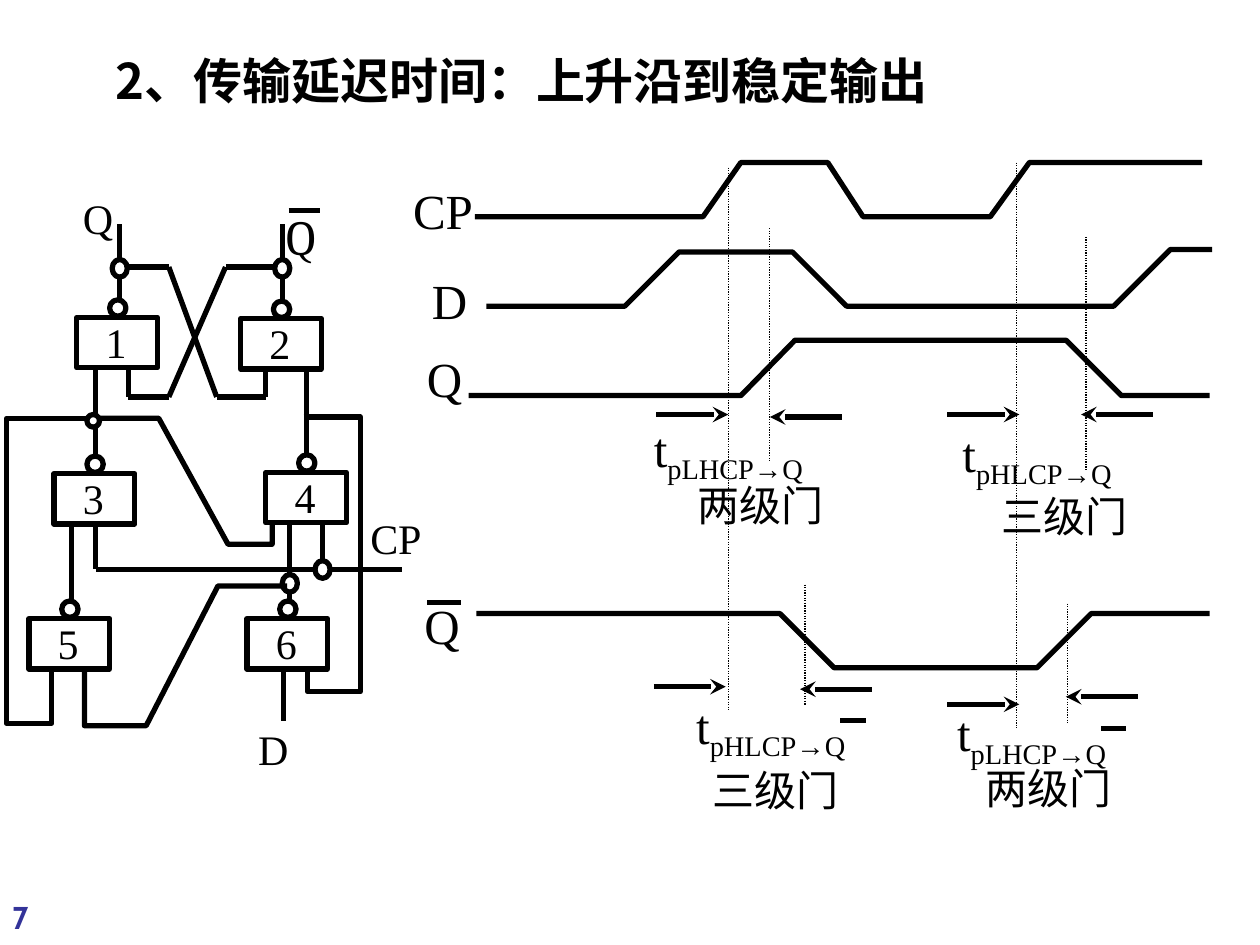
from lxml import etree
from pptx import Presentation
from pptx import util as u
from pptx.dml.color import RGBColor
from pptx.enum import dml, shapes, text
from pptx.oxml.ns import qn

BLACK = RGBColor(0x00, 0x00, 0x00)
WHITE = RGBColor(0xFF, 0xFF, 0xFF)
NAVY = RGBColor(0x33, 0x33, 0x99)
SERIF = "Times New Roman"
CJK = "Noto Sans CJK SC"

LEVEL_GUIDES = [
    (5.78, 1.33, 5.63), (6.11, 1.81, 3.67), (6.39, 4.64, 5.6),
    (8.07, 1.29, 5.78), (8.62, 1.88, 3.74), (8.47, 4.79, 5.75),
]
WAVES = [
    [(3.77, 1.72), (5.58, 1.72), (5.88, 1.29), (6.57, 1.29), (6.85, 1.72),
     (7.86, 1.72), (8.17, 1.29), (9.54, 1.29)],
    [(3.86, 2.43), (4.96, 2.43), (5.39, 2), (6.29, 2), (6.72, 2.43),
     (8.84, 2.43), (9.29, 1.98), (9.62, 1.98)],
    [(3.72, 3.14), (5.88, 3.14), (6.31, 2.7), (8.46, 2.7), (8.9, 3.14), (9.6, 3.14)],
    [(3.78, 4.87), (6.19, 4.87), (6.62, 5.3), (8.23, 5.3), (8.66, 4.87), (9.6, 4.87)],
]
WAVE_NAMES = [("CP", 3.18, 1.38), ("D", 3.33, 2.1), ("Q", 3.29, 2.72), ("Q", 3.27, 4.68)]
ARROW_LENGTH = 0.57
ARROWS = [
    (5.21, 3.29, 1), (6.68, 3.31, -1), (7.52, 3.29, 1), (9.15, 3.29, -1),
    (5.19, 5.45, 1), (6.92, 5.47, -1), (7.52, 5.59, 1), (9.03, 5.53, -1),
]
DELAYS = [
    ("t", "pLHCP→Q", 5.09, 3.27, 2.22), ("t", "pHLCP→Q", 7.54, 3.31, 1.92),
    (" t", "pHLCP→Q", 5.33, 5.47, 1.92), (" t", "pLHCP→Q", 7.4, 5.53, 2.22),
]
GATE_COUNTS = [
    ("两级门", 5.44, 3.76), ("三级门", 7.85, 3.84),
    ("三级门", 5.56, 6.02), ("两级门", 7.72, 6),
]
OVERBARS = [(3.39, 4.78, 0.27), (6.67, 5.72, 0.2), (8.74, 5.78, 0.2), (2.29, 1.67, 0.25)]
WIRES = [
    (0.95, 2.4, 0.95, 1.78), (2.24, 2.4, 2.24, 1.78),
    (0.95, 2.12, 1.34, 2.12), (2.24, 2.12, 1.79, 2.12),
    (0.76, 3.63, 0.76, 2.94), (2.43, 3.63, 2.43, 2.94),
    (0.57, 4.79, 0.57, 4.17), (2.3, 4.79, 2.3, 4.17),
    (2.25, 5.32, 2.25, 5.72), (0.76, 4.17, 0.76, 4.52),
    (0.76, 4.52, 3.19, 4.52), (2.56, 4.17, 2.56, 4.52),
    (1.02, 2.94, 1.02, 3.15), (2.11, 2.94, 2.11, 3.15),
    (1.02, 3.15, 1.34, 3.15), (2.11, 3.15, 1.72, 3.15),
    (1.79, 2.12, 1.34, 3.15), (1.34, 2.12, 1.72, 3.15),
]
FEEDBACK = [
    [(2.28, 4.65), (1.73, 4.65), (1.16, 5.76), (0.67, 5.76), (0.67, 5.31)],
    [(0.77, 3.32), (0.05, 3.32), (0.05, 5.74), (0.41, 5.74), (0.41, 5.31)],
    [(0.75, 3.32), (1.26, 3.32), (1.81, 4.32), (2.16, 4.32), (2.16, 4.15)],
    [(2.41, 3.31), (2.86, 3.31), (2.86, 5.49), (2.44, 5.49), (2.44, 5.29)],
]
JUNCTIONS = [(2.24, 4.56), (2.5, 4.45), (2.18, 2.06), (0.89, 2.06)]
GATES = [(0.61, 2.52), (1.91, 2.53), (0.43, 3.76), (2.11, 3.75), (0.23, 4.91), (1.96, 4.91)]
PINS = [("CP", 2.84, 4.02, 0.61), ("D", 1.95, 5.69, 0.44), ("Q", 0.56, 1.48, 0.46)]


def cm(inches):
    return u.Cm(inches * 2.54)


def stroke(sp, width=3):
    sp.line.color.rgb = BLACK
    sp.line.width = u.Pt(width)


def add_text(s, words, x, y, w, h, size=28, font=SERIF, color=BLACK,
             bold=False, sub="", wrap=True, inset=None):
    sp = s.shapes.add_textbox(cm(x), cm(y), cm(w), cm(h))
    tf = sp.text_frame
    tf.word_wrap = wrap
    tf.auto_size = text.MSO_AUTO_SIZE.NONE
    if inset is not None:
        tf.margin_left = tf.margin_right = tf.margin_top = tf.margin_bottom = cm(inset)
    p = tf.paragraphs[0]
    for part, base in ((words, None), (sub, "-25000")):
        if not part:
            continue
        r = p.add_run()
        r.text = part
        r.font.size = u.Pt(size)
        r.font.name = font
        r.font.bold = bold
        r.font.color.rgb = color
        rpr = r.font._element
        etree.SubElement(rpr, qn("a:ea")).set("typeface", CJK)
        if base:
            rpr.set("baseline", base)


def add_line(s, x1, y1, x2, y2, width=3, dotted=False, arrow=False):
    sp = s.shapes.add_connector(shapes.MSO_CONNECTOR.STRAIGHT, cm(x1), cm(y1), cm(x2), cm(y2))
    stroke(sp, width)
    if dotted:
        sp.line.dash_style = dml.MSO_LINE.ROUND_DOT
    if arrow:
        etree.SubElement(sp.line._get_or_add_ln(), qn("a:tailEnd")).set("type", "stealth")
    etree.SubElement(sp._element.spPr, qn("a:effectLst"))


def add_path(s, points):
    points = [(cm(x), cm(y)) for x, y in points]
    fb = s.shapes.build_freeform(*points[0])
    fb.add_line_segments(points[1:], close=False)
    sp = fb.convert_to_shape()
    sp.shadow.inherit = False
    sp.fill.background()
    stroke(sp)


def add_outline(s, kind, x, y, w, h, filled=False):
    sp = s.shapes.add_shape(kind, cm(x), cm(y), cm(w), cm(h))
    sp.shadow.inherit = False
    if filled:
        sp.fill.solid()
        sp.fill.fore_color.rgb = WHITE
    else:
        sp.fill.background()
    stroke(sp)


def add_gate(s, number, x, y):
    add_outline(s, shapes.MSO_SHAPE.RECTANGLE, x, y, 0.64, 0.4)
    add_outline(s, shapes.MSO_SHAPE.OVAL, x + 0.26, y - 0.14, 0.13, 0.13)
    add_text(s, str(number), x + 0.13, y - 0.06, 0.41, 0.5, size=24)


def draw_timing(s):
    for x, top, bottom in LEVEL_GUIDES:
        add_line(s, x, top, x, bottom, width=0.75, dotted=True)
    for points in WAVES:
        add_path(s, points)
    for name, x, y in WAVE_NAMES:
        add_text(s, name, x, y, 1, 0.57)
    for x, y, direction in ARROWS:
        add_line(s, x, y, x + direction * ARROW_LENGTH, y, arrow=True)
    for symbol, sub, x, y, w in DELAYS:
        add_text(s, symbol, x, y, w, 0.57, sub=sub)
    for words, x, y in GATE_COUNTS:
        add_text(s, words, x, y, 1.35, 0.5, size=24)
    for x, y, length in OVERBARS:
        add_line(s, x, y, x + length, y)


def draw_circuit(s):
    for name, x, y, w in PINS:
        add_text(s, name, x, y, w, 0.5, size=24, wrap=False)
    add_text(s, "Q", 2.27, 1.64, 0.32, 0.47, font="Cambria", inset=0)
    for wire in WIRES:
        add_line(s, *wire)
    for x, y in JUNCTIONS:
        add_outline(s, shapes.MSO_SHAPE.OVAL, x, y, 0.12, 0.14, filled=True)
    for number, (x, y) in enumerate(GATES, 1):
        add_gate(s, number, x, y)
    for points in FEEDBACK:
        add_path(s, points)
    add_outline(s, shapes.MSO_SHAPE.OVAL, 0.69, 3.29, 0.1, 0.1, filled=True)


def main():
    prs = Presentation()
    prs.slide_width, prs.slide_height = u.Cm(25.4), u.Cm(19.05)
    s = prs.slides.add_slide(prs.slide_layouts[6])
    add_text(s, "7", 0, 7.08, 0.99, 0.37, size=18, font="Cabin", color=NAVY, bold=True)
    add_text(s, "2、传输延迟时间：上升沿到稳定输出", 0.82, 0.35, 7.35, 0.57, font=CJK, bold=True)
    draw_timing(s)
    draw_circuit(s)
    prs.save("out.pptx")


if __name__ == "__main__":
    main()
